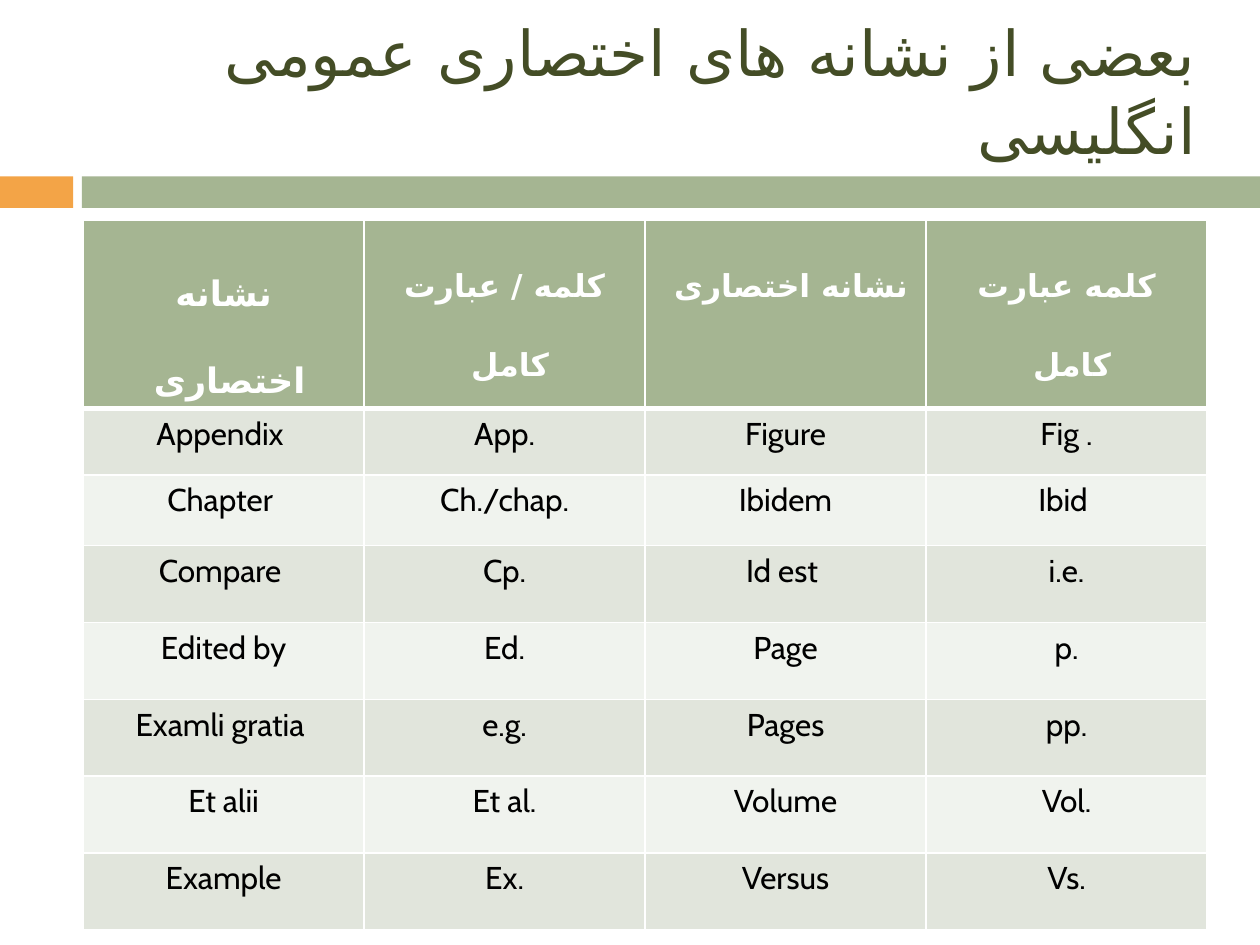
import pptx
import pptx.util
import pptx.dml.color
import pptx.enum.shapes
import pptx.enum.text
import pptx.oxml
import pptx.oxml.ns

WIDE, HIGH = 10, 7.5
GREEN, WHITE = "A5B592", "FFFFFF"
BANDS = ("E1E5DC", "F0F3EE")
SCRIPT = "DejaVu Sans"
ALIGN = pptx.enum.text.PP_ALIGN
ANCHOR = pptx.enum.text.MSO_ANCHOR
TITLE = "بعضی از نشانه های اختصاری عمومی انگلیسی "
HEADS = ("نشانه اختصاری ", "کلمه / عبارت کامل ",
         "نشانه اختصاری ", "کلمه عبارت کامل ")
ROWS = (
    ("Appendix ", "App.", "Figure", "Fig ."),
    ("Chapter ", "Ch./chap.", "Ibidem", "Ibid "),
    ("Compare ", "Cp.", "Id est ", "i.e."),
    ("Edited by", "Ed.", "Page", "p."),
    ("Examli gratia ", "e.g.", "Pages", "pp."),
    ("Et alii", "Et al.", "Volume", "Vol."),
    ("Example", "Ex.", "Versus", "Vs."),
)
TALL = [1.1, 0.53, 0.56] + [0.61] * 5


def inch(size):
    return pptx.util.Inches(size)


def paint(fmt, code):
    """Give a solid colour to a fill."""
    fmt.solid()
    fmt.fore_color.rgb = pptx.dml.color.RGBColor.from_string(code)


def write(frame, text, code, font, align, rtl=False, space=None):
    """Put one formatted paragraph in a text frame."""
    para = frame.paragraphs[0]
    para.alignment = align
    if space:
        para.line_spacing = space
    run = para.add_run()
    run.text = text
    for name, value in font.items():
        setattr(run.font, name, value)
    paint(run.font.fill, code)
    if rtl:
        # Right-to-left order and the font for Persian letters
        para._p.get_or_add_pPr().set("rtl", "1")
        space = pptx.oxml.ns.nsdecls("a")
        run._r.get_or_add_rPr().append(pptx.oxml.parse_xml(
            f'<a:cs {space} typeface="{SCRIPT}"/>'))


def bar(slide, left, width, code):
    """Draw one piece of the band below the title."""
    box = slide.shapes.add_shape(
        pptx.enum.shapes.MSO_SHAPE.RECTANGLE,
        inch(left), inch(1.4), inch(width), inch(0.25))
    box.shadow.inherit = False
    paint(box.fill, code)
    box.line.fill.background()


def edge(cell, base):
    """Add white cell borders, with the given weight at the base."""
    props = cell._tc.get_or_add_tcPr()
    space = pptx.oxml.ns.nsdecls("a")
    sides = {"lnL": 1, "lnR": 1, "lnT": 1, "lnB": base}
    for spot, (side, size) in enumerate(sides.items()):
        props.insert(spot, pptx.oxml.parse_xml(
            f'<a:{side} {space} w="{pptx.util.Pt(size)}"><a:solidFill>'
            f'<a:srgbClr val="{WHITE}"/></a:solidFill></a:{side}>'))


def head(slide):
    """Fill and place the title."""
    title = slide.shapes.title
    place = {"left": 0.67, "top": 0.17, "width": 8.92, "height": 1.08}
    for name, value in place.items():
        setattr(title, name, inch(value))
    frame = title.text_frame
    look = {"word_wrap": True, "vertical_anchor": ANCHOR.MIDDLE,
            "auto_size": pptx.enum.text.MSO_AUTO_SIZE.NONE}
    for name, value in look.items():
        setattr(frame, name, value)
    font = {"name": "Lato", "size": pptx.util.Pt(36)}
    write(frame, TITLE, "444D26", font, ALIGN.RIGHT, rtl=True, space=1.03)


def grid(slide):
    """Build the table of short forms."""
    table = slide.shapes.add_table(
        len(TALL), len(HEADS), inch(0.66), inch(1.75),
        inch(8.92), inch(sum(TALL))).table
    for col in table.columns:
        col.width = inch(8.92 / len(HEADS))
    for row, tall in zip(table.rows, TALL):
        row.height = inch(tall)
    for r, words in enumerate((HEADS,) + ROWS):
        top = r == 0
        for c, word in enumerate(words):
            cell = table.cell(r, c)
            paint(cell.fill, GREEN if top else BANDS[(r - 1) % 2])
            edge(cell, 3 if top else 1)
            font = {"name": "Lato" if top else "Cabin", "bold": top,
                    "size": pptx.util.Pt(20 if top and c == 0 else 18)}
            write(cell.text_frame, word, WHITE if top else "000000", font,
                  ALIGN.CENTER, rtl=top, space=2.15 if top else None)


def main():
    deck = pptx.Presentation()
    deck.slide_width, deck.slide_height = inch(WIDE), inch(HIGH)
    slide = deck.slides.add_slide(deck.slide_layouts[5])
    paint(slide.background.fill, WHITE)
    # Band
    bar(slide, 0, 0.58, "F3A447")
    bar(slide, 0.65, WIDE - 0.65, GREEN)
    # Content
    head(slide)
    grid(slide)
    deck.save("out.pptx")


main()
